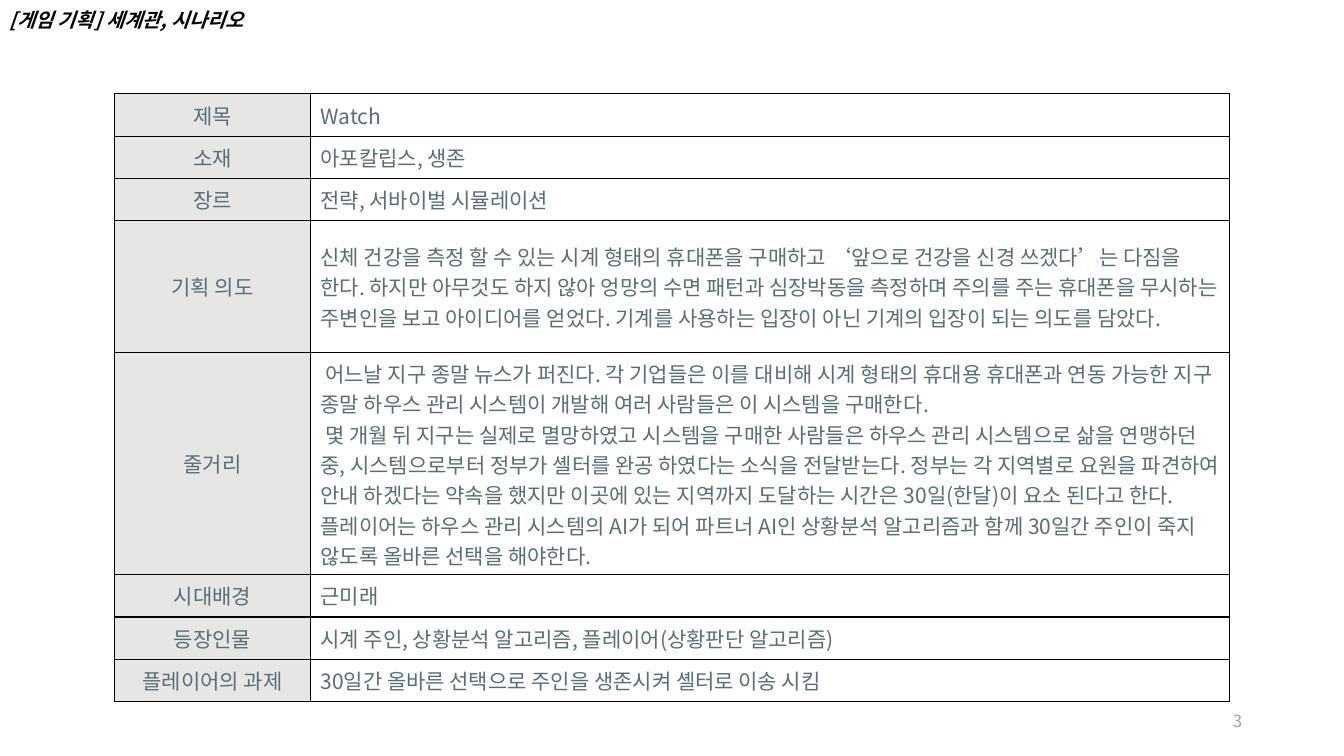
"""Build the game planning slide on world setting and scenario."""
from lxml import etree
from pptx import Presentation, util as u
from pptx.dml.color import RGBColor
from pptx.enum import text
from pptx.oxml.ns import qn

FONT = "Noto Sans CJK KR"
COLORS = {"page": "FFFFFF", "title": "000000", "body": "586E75",
          "label": "E7E6E6", "border": "000000", "number": "9AA3A6"}
ROWS = [
    (30.24, "제목", ["Watch"]),
    (30.24, "소재", ["아포칼립스, 생존"]),
    (30.24, "장르", ["전략, 서바이벌 시뮬레이션"]),
    (94.4, "기획 의도", [
        "신체 건강을 측정 할 수 있는 시계 형태의 휴대폰을 구매하고 ‘앞으로 건강을 신경 쓰겠다’는 다짐을 한다. "
        "하지만 아무것도 하지 않아 엉망의 수면 패턴과 심장박동을 측정하며 주의를 주는 휴대폰을 무시하는 주변인을 보고 "
        "아이디어를 얻었다. 기계를 사용하는 입장이 아닌 기계의 입장이 되는 의도를 담았다."]),
    (158.4, "줄거리", [
        " 어느날 지구 종말 뉴스가 퍼진다. 각 기업들은 이를 대비해 시계 형태의 휴대용 휴대폰과 연동 가능한 "
        "지구 종말 하우스 관리 시스템이 개발해 여러 사람들은 이 시스템을 구매한다.",
        " 몇 개월 뒤 지구는 실제로 멸망하였고 시스템을 구매한 사람들은 하우스 관리 시스템으로 삶을 연맹하던 중, "
        "시스템으로부터 정부가 셸터를 완공 하였다는 소식을 전달받는다. 정부는 각 지역별로 요원을 파견하여 안내 하겠다는 "
        "약속을 했지만 이곳에 있는 지역까지 도달하는 시간은 30일(한달)이 요소 된다고 한다. 플레이어는 하우스 관리 "
        "시스템의 AI가 되어 파트너 AI인 상황분석 알고리즘과 함께 30일간 주인이 죽지 않도록 올바른 선택을 해야한다."]),
    (30.24, "시대배경", ["근미래"]),
    (30.24, "등장인물", ["시계 주인, 상황분석 알고리즘, 플레이어(상황판단 알고리즘)"]),
    (30.24, "플레이어의 과제", ["30일간 올바른 선택으로 주인을 생존시켜 셸터로 이송 시킴"]),
]


def write(frame, lines, size, color, align=text.PP_ALIGN.LEFT, strong=False):
    """Fill a text frame with one paragraph per line."""
    frame.word_wrap = True
    for index, line in enumerate(lines):
        para = frame.add_paragraph() if index else frame.paragraphs[0]
        para.alignment = align
        span = para.add_run()
        span.text = line
        span.font.name = FONT
        span.font.size = u.Pt(size)
        span.font.bold = span.font.italic = strong
        span.font.color.rgb = RGBColor.from_string(COLORS[color])
        east = etree.SubElement(span.font._element, qn("a:ea"))
        east.set("typeface", FONT)


def outline(cell):
    """Draw a thin line on all four sides of a table cell."""
    props = cell._tc.get_or_add_tcPr()
    for index, side in enumerate(("a:lnL", "a:lnR", "a:lnT", "a:lnB")):
        line = etree.Element(qn(side), w=str(u.Pt(1)))
        fill = etree.SubElement(line, qn("a:solidFill"))
        etree.SubElement(fill, qn("a:srgbClr"), val=COLORS["border"])
        props.insert(index, line)


deck = Presentation()
deck.slide_width, deck.slide_height = u.Pt(960), u.Pt(540)
page = deck.slides.add_slide(deck.slide_layouts[6])
page.background.fill.solid()
page.background.fill.fore_color.rgb = RGBColor.from_string(COLORS["page"])

title = page.shapes.add_textbox(u.Pt(0), u.Pt(2), u.Pt(420), u.Pt(24.5))
write(title.text_frame, ["[게임 기획] 세계관, 시나리오"], 14, "title", strong=True)

height = sum(row[0] for row in ROWS)
box = page.shapes.add_table(len(ROWS), 2, u.Pt(82), u.Pt(67), u.Pt(796.4), u.Pt(height))
table = box.table
table.first_row = table.horz_banding = False
table.columns[0].width, table.columns[1].width = u.Pt(139.7), u.Pt(656.7)
for index, (row_height, label, lines) in enumerate(ROWS):
    table.rows[index].height = u.Pt(row_height)
    label_cell, body_cell = table.rows[index].cells
    write(label_cell.text_frame, [label], 15, "body", text.PP_ALIGN.CENTER)
    write(body_cell.text_frame, lines, 15, "body")
    for cell, color in ((label_cell, "label"), (body_cell, "page")):
        cell.vertical_anchor = text.MSO_ANCHOR.MIDDLE
        cell.fill.solid()
        cell.fill.fore_color.rgb = RGBColor.from_string(COLORS[color])
        outline(cell)

number = page.shapes.add_textbox(u.Pt(678.3), u.Pt(500.5), u.Pt(216), u.Pt(28.8))
number.text_frame.vertical_anchor = text.MSO_ANCHOR.MIDDLE
write(number.text_frame, ["3"], 12, "number", text.PP_ALIGN.RIGHT)

deck.save("out.pptx")
